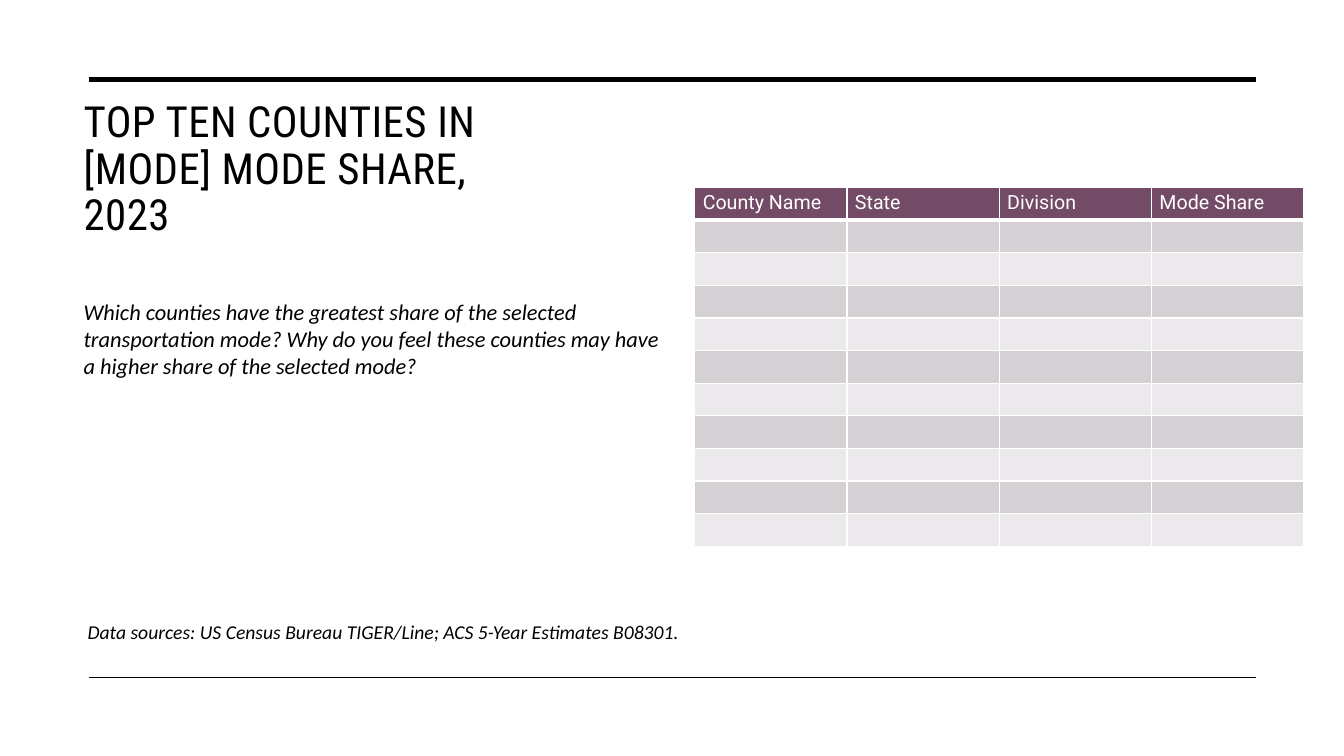
from copy import deepcopy
from dataclasses import dataclass

from lxml import etree
from pptx import Presentation
from pptx import util as u
from pptx.dml.color import RGBColor
from pptx.enum import shapes, text
from pptx.oxml.ns import qn


@dataclass(frozen=True)
class Theme:
    ink: str = "000000"
    paper: str = "FFFFFF"
    header: str = "734B67"
    bands: tuple[str, str] = ("D5D0D3", "EBE9EB")
    title_font: str = "Roboto Condensed"
    body_font: str = "Calibri"
    table_font: str = "Roboto"
    title_size: float = 30.6
    question_size: float = 16
    small_size: float = 14


@dataclass(frozen=True)
class Rule:
    top: float
    weight: float


@dataclass(frozen=True)
class Note:
    left: float
    top: float
    width: float
    height: float
    words: str
    size: float


THEME = Theme()
RULES = (Rule(0.79, 3.5), Rule(6.72, 1))
NOTES = (
    Note(0.73, 2.91, 6.02, 0.91,
         "Which counties have the greatest share of the selected transportation mode? "
         "Why do you feel these counties may have a higher share of the selected mode?",
         THEME.question_size),
    Note(0.77, 6.1, 6.51, 0.34,
         "Data sources: US Census Bureau TIGER/Line; ACS 5-Year Estimates B08301.",
         THEME.small_size),
)
TITLE = "TOP TEN COUNTIES IN\v[MODE] MODE SHARE,\v2023"
HEADERS = ("County Name", "State", "Division", "Mode Share")
COUNTY_ROWS = 10


def write(paragraph, words: str, *, font: str, size: float, color: str,
          italic: bool = False, tracking: float = 0) -> None:
    paragraph.text = words
    for run in paragraph.runs:
        run.font.name = font
        run.font.size = u.Pt(size)
        run.font.bold = False
        run.font.italic = italic
        run.font.color.rgb = RGBColor.from_string(color)
        if tracking:
            run.font._element.set("spc", str(round(tracking * 100)))
    for line_break in paragraph._p.findall(qn("a:br")):
        line_break.append(deepcopy(paragraph.runs[0].font._element))
    if not words:
        ending = etree.SubElement(paragraph._p, qn("a:endParaRPr"))
        ending.set("sz", str(round(size * 100)))
        etree.SubElement(ending, qn("a:latin")).set("typeface", font)


def add_rule(slide, rule: Rule) -> None:
    connector = slide.shapes.add_connector(
        shapes.MSO_CONNECTOR.STRAIGHT,
        u.Inches(0.88), u.Inches(rule.top), u.Inches(12.46), u.Inches(rule.top))
    connector.line.color.rgb = RGBColor.from_string(THEME.ink)
    connector.line.width = u.Pt(rule.weight)
    etree.SubElement(connector._element.spPr, qn("a:effectLst"))


def set_title(slide) -> None:
    title = slide.shapes.title
    title.left, title.top = u.Inches(0.73), u.Inches(0.95)
    title.width, title.height = u.Inches(6.38), u.Inches(0.63)
    frame = title.text_frame
    frame.word_wrap = True
    frame.auto_size = text.MSO_AUTO_SIZE.NONE
    frame.vertical_anchor = text.MSO_ANCHOR.TOP
    paragraph = frame.paragraphs[0]
    paragraph.alignment = text.PP_ALIGN.LEFT
    paragraph.line_spacing = 0.9
    write(paragraph, TITLE, font=THEME.title_font, size=THEME.title_size,
          color=THEME.ink, tracking=0.3)


def add_note(slide, note: Note) -> None:
    shape = slide.shapes.add_textbox(u.Inches(note.left), u.Inches(note.top),
                                     u.Inches(note.width), u.Inches(note.height))
    frame = shape.text_frame
    frame.word_wrap = True
    frame.auto_size = text.MSO_AUTO_SIZE.SHAPE_TO_FIT_TEXT
    write(frame.paragraphs[0], note.words, font=THEME.body_font, size=note.size,
          color=THEME.ink, italic=True)


def set_borders(cell, bottom: float) -> None:
    properties = cell._tc.get_or_add_tcPr()
    for side, weight in (("L", 1), ("R", 1), ("T", 1), ("B", bottom)):
        line = etree.SubElement(properties, qn(f"a:ln{side}"), w=str(u.Pt(weight)))
        fill = etree.SubElement(line, qn("a:solidFill"))
        etree.SubElement(fill, qn("a:srgbClr"), val=THEME.paper)


def add_county_table(slide) -> None:
    rows = [HEADERS] + [("",) * len(HEADERS)] * COUNTY_ROWS
    width, height = 6.04, 3.56
    table = slide.shapes.add_table(
        len(rows), len(HEADERS), u.Inches(6.89), u.Inches(1.86),
        u.Inches(width), u.Inches(height)).table
    for column in table.columns:
        column.width = u.Inches(width / len(HEADERS))
    for row_index, row in enumerate(rows):
        table.rows[row_index].height = u.Inches(height / len(rows))
        is_header = row_index == 0
        color = THEME.header if is_header else THEME.bands[(row_index - 1) % 2]
        for column_index, words in enumerate(row):
            cell = table.cell(row_index, column_index)
            cell.margin_left = cell.margin_right = u.Inches(0.08)
            cell.margin_top = cell.margin_bottom = u.Inches(0.04)
            set_borders(cell, 3 if is_header else 1)
            cell.fill.solid()
            cell.fill.fore_color.rgb = RGBColor.from_string(color)
            write(cell.text_frame.paragraphs[0], words, font=THEME.table_font,
                  size=THEME.small_size, color=THEME.paper)


def main() -> None:
    presentation = Presentation()
    presentation.slide_width = u.Inches(13.33)
    presentation.slide_height = u.Inches(7.5)
    slide = presentation.slides.add_slide(presentation.slide_layouts.get_by_name("Title Only"))
    for rule in RULES:
        add_rule(slide, rule)
    set_title(slide)
    for note in NOTES:
        add_note(slide, note)
    add_county_table(slide)
    presentation.save("out.pptx")


if __name__ == "__main__":
    main()
